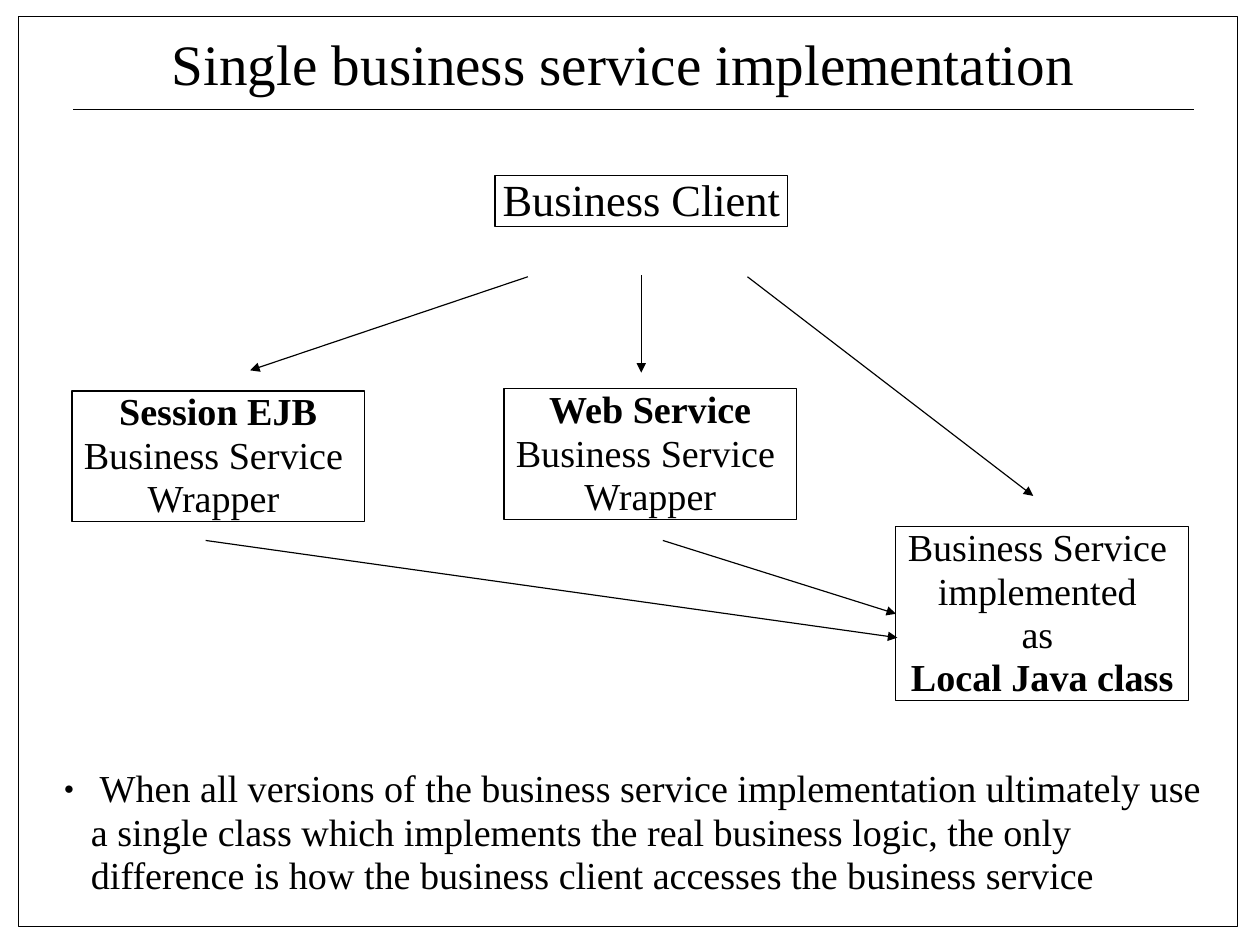
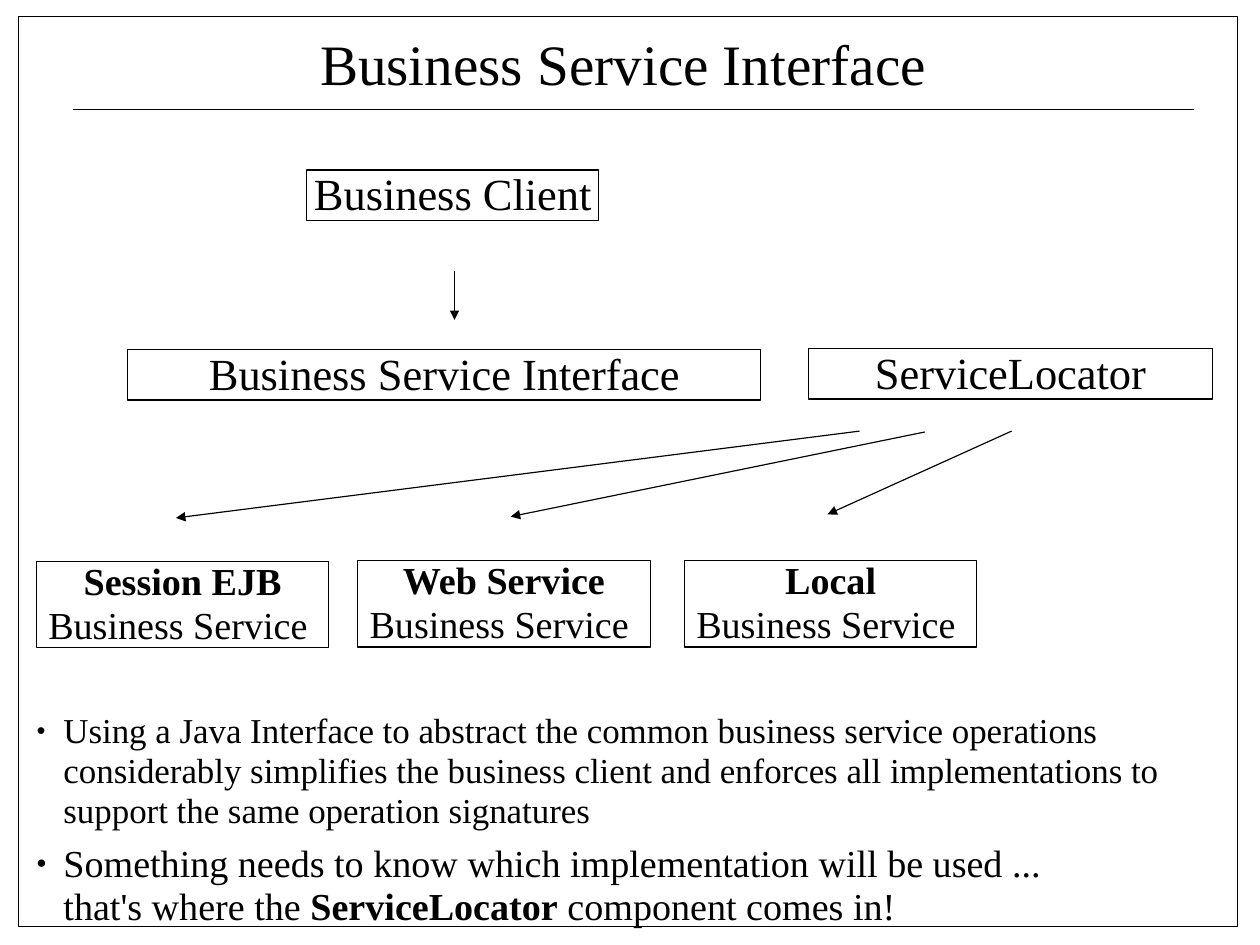
"""Build two slides on business service wrappers and the locator behind them."""
from dataclasses import dataclass

from lxml.etree import SubElement as Sub
from pptx import Presentation
from pptx.dml.color import RGBColor as Rgb
from pptx.enum.shapes import MSO_CONNECTOR as Link, MSO_SHAPE as Form
from pptx.enum.text import MSO_ANCHOR as Anchor, MSO_AUTO_SIZE as Fit, PP_ALIGN as Align
from pptx.oxml.ns import qn
from pptx.shapes.autoshape import Shape
from pptx.shapes.connector import Connector
from pptx.slide import Slide, SlideLayout
from pptx.text.text import TextFrame
from pptx.util import Cm, Pt


@dataclass(frozen=True)
class Theme:
    ink: Rgb = Rgb(0, 0, 0)
    font: str = "Times New Roman"
    title: int = 36
    head: int = 28
    text: int = 24
    small: int = 22
    line: float = 0.75
    lead: float = 0.95
    indent: float = 0.6


@dataclass(frozen=True)
class Area:
    x: float
    y: float
    w: float
    h: float


@dataclass(frozen=True)
class Box:
    area: Area
    lines: tuple[str, ...]
    size: int


@dataclass(frozen=True)
class Arrow:
    x1: float
    y1: float
    x2: float
    y2: float
    into: int | None = None


@dataclass(frozen=True)
class Point:
    text: str
    size: int
    before: int = 0


@dataclass(frozen=True)
class Page:
    title: str
    boxes: tuple[Box, ...]
    arrows: tuple[Arrow, ...]
    area: Area
    points: tuple[Point, ...]


THEME = Theme()
WIDE = 6.5
FRAME = Area(0.41, 0.36, 27.1, 20.24)
TITLE = Area(3.78, 0.74, 20.14, 1.45)
RULE = Arrow(1.63, 2.44, 26.54, 2.44)


def label(x: float, y: float, text: str, w: float = WIDE) -> Box:
    """Describe a one-line box in the larger type."""
    return Box(Area(x, y, w, 1.12), (text,), THEME.head)


def block(x: float, y: float, *lines: str) -> Box:
    """Describe a box whose height follows its lines."""
    return Box(Area(x, y, WIDE, round(0.965 * len(lines), 2)), lines, THEME.text)


PAGES = (
    Page(
        "Single business service implementation",
        (
            block(1.6, 8.69, "**Session EJB**", "Business Service ", "Wrapper "),
            label(11, 3.91, "Business Client"),
            block(11.2, 8.64, "**Web Service**", "Business Service ", "Wrapper"),
            block(19.91, 11.71, "Business Service ", "implemented ", "as ",
                  "**Local Java class**"),
        ),
        (
            Arrow(11.73, 6.15, 5.56, 8.23),
            Arrow(14.25, 6.12, 14.25, 8.28),
            Arrow(16.61, 6.15, 22.96, 11.02),
            Arrow(4.57, 12.01, 19.94, 14.17),
            Arrow(14.73, 12.01, 19.91, 13.64, into=3),
        ),
        Area(1.42, 17.07, 25.65, 2.9),
        (Point(" When all versions of the business service implementation "
               "ultimately use a single class which implements the real business "
               "logic, the only difference is how the business client accesses "
               "the business service", THEME.text),),
    ),
    Page(
        "Business Service Interface",
        (
            block(0.81, 12.47, "**Session EJB**", "Business Service "),
            label(6.81, 3.78, "Business Client"),
            block(7.95, 12.45, "**Web Service**", "Business Service "),
            label(2.84, 7.77, "Business Service Interface", 14.07),
            block(15.21, 12.45, "**Local**", "Business Service "),
            label(17.96, 7.75, "ServiceLocator", 8.99),
        ),
        (
            Arrow(10.1, 6.02, 10.1, 7.11),
            Arrow(19.1, 9.58, 3.91, 11.51),
            Arrow(20.55, 9.6, 11.35, 11.48),
            Arrow(22.48, 9.58, 18.39, 11.43),
        ),
        Area(0.81, 15.82, 26.06, 4.83),
        (
            Point("Using a Java Interface to abstract the common business service "
                  "operations considerably simplifies the business client and "
                  "enforces all implementations to support the same operation "
                  "signatures", THEME.small),
            Point("Something needs to know which implementation will be used ...\v"
                  "that's where the **ServiceLocator** component comes in!",
                  THEME.text, before=7),
        ),
    ),
)


def place(shape: Shape, area: Area) -> None:
    """Move and size a shape."""
    shape.left, shape.top = Cm(area.x), Cm(area.y)
    shape.width, shape.height = Cm(area.w), Cm(area.h)


def clear(frame: TextFrame, anchor: Anchor) -> None:
    """Strip the margins of a text frame and fix its anchor."""
    frame.margin_left = frame.margin_right = 0
    frame.margin_top = frame.margin_bottom = 0
    frame.word_wrap, frame.auto_size = True, Fit.NONE
    frame.vertical_anchor = anchor


def put(frame: TextFrame, text: str, *, size: int, align: Align = Align.CENTER,
        before: int = 0, bullet: bool = False) -> None:
    """Write one paragraph, with bold between double stars."""
    para = frame.add_paragraph() if frame.text else frame.paragraphs[0]
    para.alignment, para.line_spacing = align, THEME.lead
    para.space_before, para.space_after = Pt(before), Pt(0)
    for i, part in enumerate(text.split("**")):
        for row, piece in enumerate(part.split("\v")):
            if row:
                para.add_line_break()
            if piece:
                run = para.add_run()
                run.text = piece
                font = run.font
                font.name, font.size, font.bold = THEME.font, Pt(size), i % 2 == 1
                font.color.rgb = THEME.ink
    if bullet:
        prop = para._p.get_or_add_pPr()
        prop.set("marL", str(Cm(THEME.indent)))
        prop.set("indent", str(-Cm(THEME.indent)))
        Sub(Sub(prop, qn("a:buClr")), qn("a:srgbClr"), val=str(THEME.ink))
        Sub(prop, qn("a:buSzPct"), val="45000")
        Sub(prop, qn("a:buFont"), typeface=THEME.font)
        Sub(prop, qn("a:buChar"), char="●")


def stroke(shape: Shape | Connector) -> None:
    """Give a shape the thin dark line."""
    shape.line.color.rgb = THEME.ink
    shape.line.width = Pt(THEME.line)


def panel(slide: Slide, area: Area) -> Shape:
    """Draw an unfilled rectangle."""
    shape = slide.shapes.add_shape(
        Form.RECTANGLE, Cm(area.x), Cm(area.y), Cm(area.w), Cm(area.h))
    shape.shadow.inherit = False
    shape.fill.background()
    stroke(shape)
    return shape


def draw(slide: Slide, box: Box) -> Shape:
    """Draw a box with its lines of text."""
    shape = panel(slide, box.area)
    clear(shape.text_frame, Anchor.MIDDLE)
    for line in box.lines:
        put(shape.text_frame, line, size=box.size)
    return shape


def join(slide: Slide, arrow: Arrow, head: bool = True) -> Connector:
    """Draw a straight line, with an arrowhead unless told otherwise."""
    line = slide.shapes.add_connector(
        Link.STRAIGHT, Cm(arrow.x1), Cm(arrow.y1), Cm(arrow.x2), Cm(arrow.y2))
    stroke(line)
    prop = line.element.spPr
    if head:
        Sub(prop.find(qn("a:ln")), qn("a:tailEnd"), type="triangle")
    Sub(prop, qn("a:effectLst"))
    return line


def build(slide: Slide, page: Page) -> None:
    """Fill one slide from its page."""
    panel(slide, FRAME)
    join(slide, RULE, head=False)
    title, body = slide.shapes.title, slide.placeholders[1]
    clear(title.text_frame, Anchor.TOP)
    put(title.text_frame, page.title, size=THEME.title)
    place(body, page.area)
    clear(body.text_frame, Anchor.TOP)
    for point in page.points:
        put(body.text_frame, point.text, size=point.size, align=Align.LEFT,
            before=point.before, bullet=True)
    boxes = [draw(slide, box) for box in page.boxes]
    for arrow in page.arrows:
        line = join(slide, arrow)
        if arrow.into is not None:
            line.end_connect(boxes[arrow.into], 1)


def main() -> None:
    """Build and save the deck."""
    deck = Presentation()
    deck.slide_width, deck.slide_height = Cm(28), Cm(21)
    layout: SlideLayout = deck.slide_layouts[1]
    place(layout.placeholders[0], TITLE)
    for page in PAGES:
        build(deck.slides.add_slide(layout), page)
    deck.save("out.pptx")


if __name__ == "__main__":
    main()
